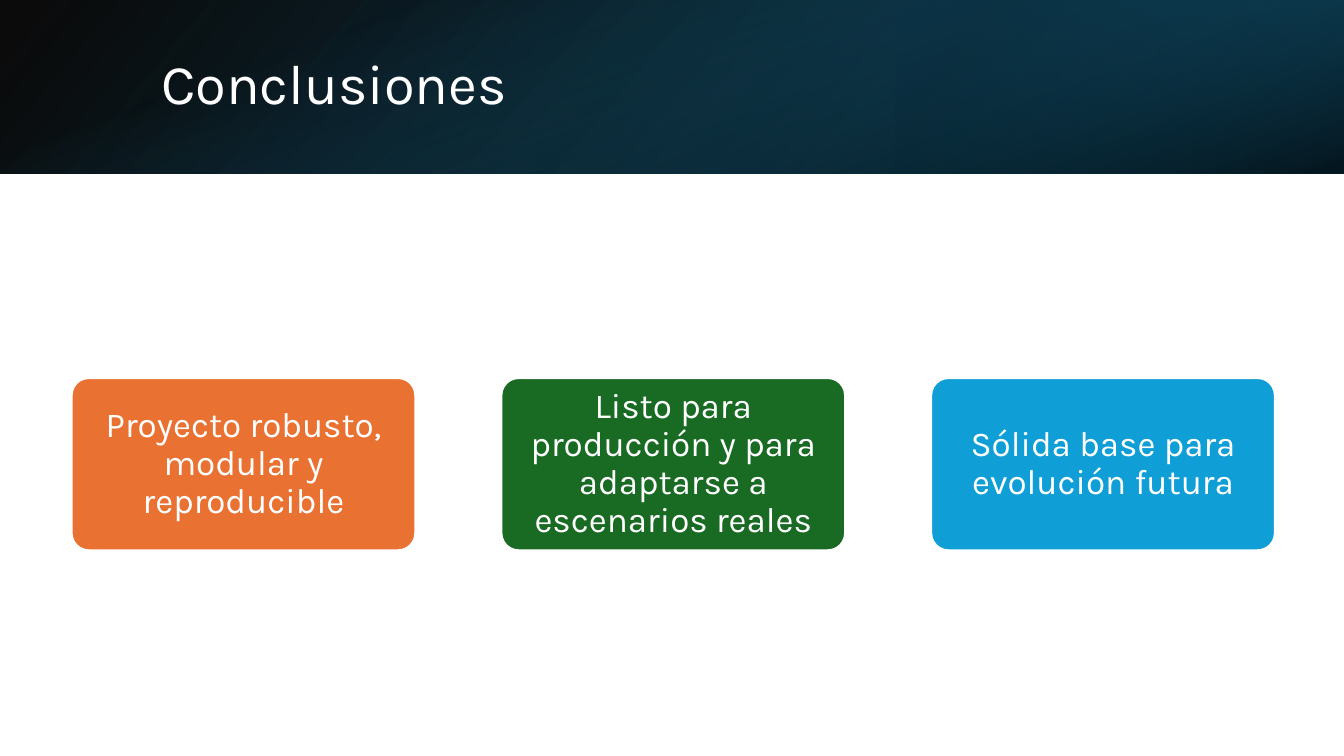
from lxml import etree
from pptx import Presentation
from pptx.dml.color import RGBColor
from pptx.enum.shapes import MSO_SHAPE
from pptx.enum.text import MSO_ANCHOR, PP_ALIGN
from pptx.oxml.ns import qn
from pptx.util import Inches, Pt

RECTANGLE = MSO_SHAPE.RECTANGLE
ROUNDED = MSO_SHAPE.ROUNDED_RECTANGLE
MIDDLE = MSO_ANCHOR.MIDDLE
LEFT, CENTER = PP_ALIGN.LEFT, PP_ALIGN.CENTER

THEME = {"font": "Karla", "text": "FFFFFF", "outline": "FFFFFF",
         "title_size": 40, "card_size": 25, "outline_width": 1.5}

SLIDE_WIDTH, SLIDE_HEIGHT = 13.33, 7.5
BAND_HEIGHT = 1.72

TITLE = "Conclusiones"
CARDS = [
    ("Proyecto robusto, modular y reproducible", "E97132"),
    ("Listo para producción y para adaptarse a escenarios reales", "196B24"),
    ("Sólida base para evolución futura", "0F9ED5"),
]
CARD_LEFT, CARD_TOP, CARD_WIDTH, CARD_HEIGHT = 0.71, 3.75, 3.41, 1.71
CARD_STEP = 1.25 * CARD_WIDTH

BAND_LAYERS = [
    {"box": (0, 0, SLIDE_WIDTH, BAND_HEIGHT), "rotation": 0, "flip": True, "angle": 140,
     "stops": [(0, "000000", 96), (100, "104862", 100)]},
    {"box": (SLIDE_WIDTH * 2 / 3, 0, SLIDE_WIDTH / 3, BAND_HEIGHT),
     "rotation": 180, "flip": True, "angle": 320,
     "stops": [(19, "0B3041", 68), (100, "156082", 79)]},
    {"box": ((SLIDE_WIDTH - BAND_HEIGHT) / 2, (BAND_HEIGHT - SLIDE_WIDTH) / 2,
             BAND_HEIGHT, SLIDE_WIDTH),
     "rotation": 90, "flip": False, "angle": 340,
     "stops": [(23, "156082", 0), (99, "000000", 74)]},
]


def add_box(slide, kind, box):
    shape = slide.shapes.add_shape(kind, *[Inches(value) for value in box])
    shape.shadow.inherit = False
    return shape


def set_gradient(shape, stops, angle):
    shape.fill.background()
    properties = shape.element.spPr
    empty_fill = properties.find(qn("a:noFill"))
    gradient = etree.Element(qn("a:gradFill"), rotWithShape="1")
    stop_list = etree.SubElement(gradient, qn("a:gsLst"))
    for position, color, opacity in stops:
        stop = etree.SubElement(stop_list, qn("a:gs"), pos=str(position * 1000))
        tint = etree.SubElement(stop, qn("a:srgbClr"), val=color)
        etree.SubElement(tint, qn("a:alpha"), val=str(opacity * 1000))
    etree.SubElement(gradient, qn("a:lin"), ang=str(angle * 60000), scaled="0")
    properties.replace(empty_fill, gradient)


def add_band_layer(slide, layer):
    shape = add_box(slide, RECTANGLE, layer["box"])
    shape.line.fill.background()
    shape.rotation = layer["rotation"]
    if layer["flip"]:
        shape.element.spPr.find(qn("a:xfrm")).set("flipH", "1")
    set_gradient(shape, layer["stops"], layer["angle"])


def write_text(shape, text, size, alignment, margins):
    frame = shape.text_frame
    frame.word_wrap = True
    frame.vertical_anchor = MIDDLE
    frame.margin_left = frame.margin_right = Inches(margins[0])
    frame.margin_top = frame.margin_bottom = Inches(margins[1])
    paragraph = frame.paragraphs[0]
    paragraph.alignment = alignment
    paragraph.line_spacing = 0.9
    run = paragraph.add_run()
    run.text = text
    run.font.name = THEME["font"]
    run.font.size = Pt(size)
    run.font.color.rgb = RGBColor.from_string(THEME["text"])


def add_card(slide, index, text, color):
    left = CARD_LEFT + index * CARD_STEP
    card = add_box(slide, ROUNDED, (left, CARD_TOP, CARD_WIDTH, CARD_HEIGHT))
    card.adjustments[0] = 0.1
    card.fill.solid()
    card.fill.fore_color.rgb = RGBColor.from_string(color)
    card.line.color.rgb = RGBColor.from_string(THEME["outline"])
    card.line.width = Pt(THEME["outline_width"])
    write_text(card, text, THEME["card_size"], CENTER, (0.05, 0.03))


def main():
    presentation = Presentation()
    presentation.slide_width = Inches(SLIDE_WIDTH)
    presentation.slide_height = Inches(SLIDE_HEIGHT)
    slide = presentation.slides.add_slide(presentation.slide_layouts[6])
    for layer in BAND_LAYERS:
        add_band_layer(slide, layer)
    title = slide.shapes.add_textbox(Inches(1.5), Inches(0.38), Inches(10.98), Inches(0.96))
    write_text(title, TITLE, THEME["title_size"], LEFT, (0.1, 0.05))
    for index, (text, color) in enumerate(CARDS):
        add_card(slide, index, text, color)
    presentation.save("out.pptx")


if __name__ == "__main__":
    main()
